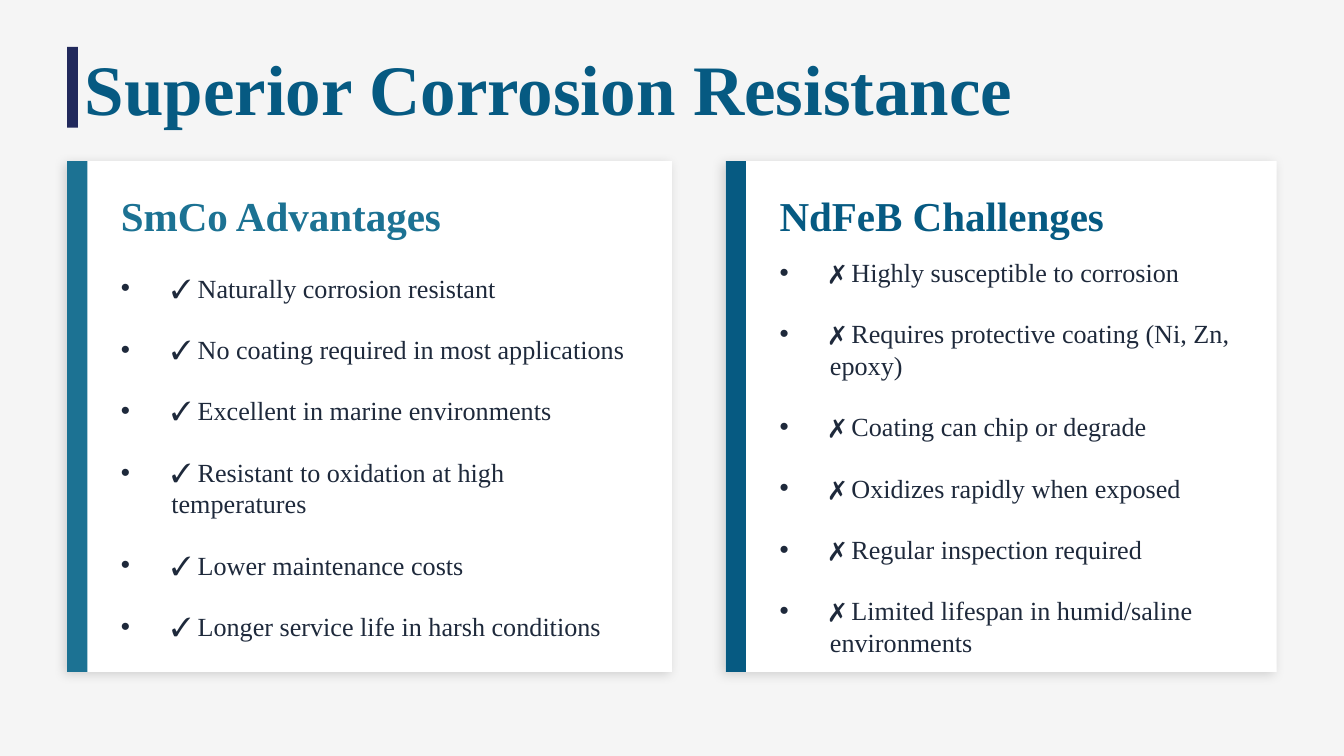
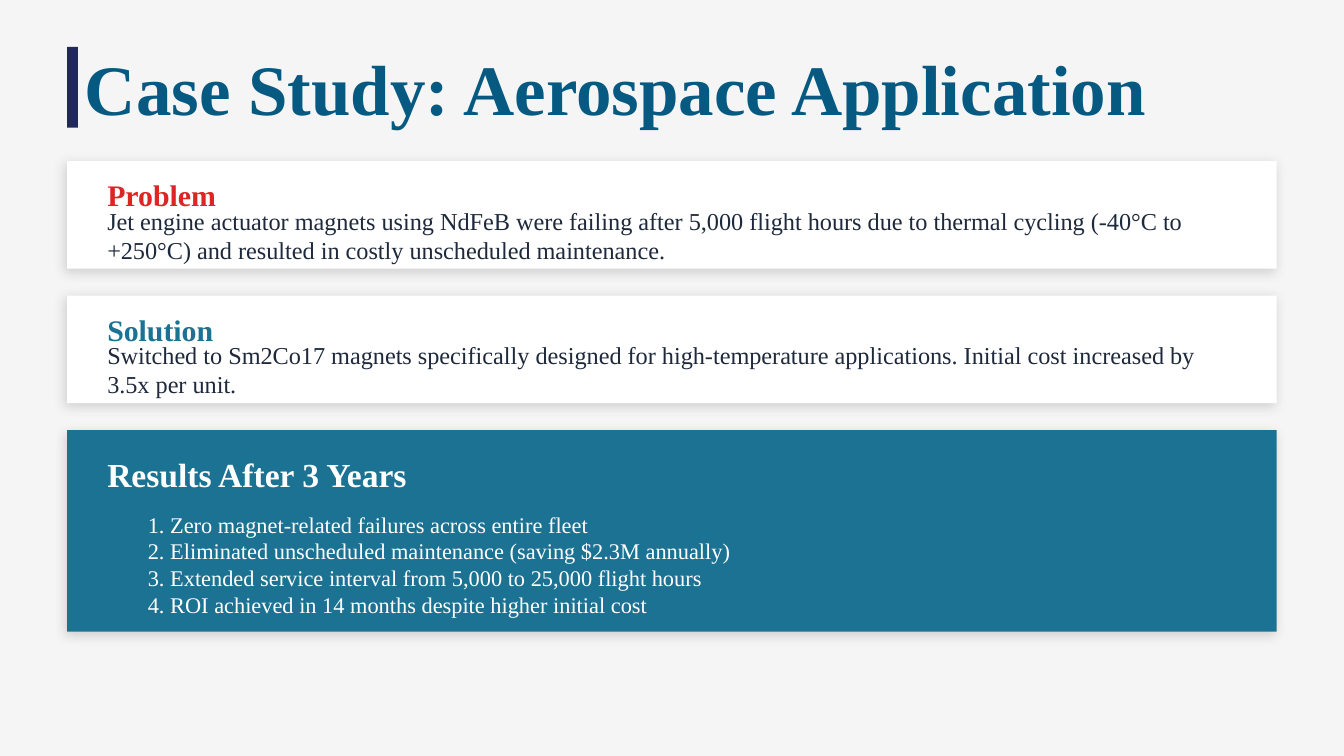
from dataclasses import dataclass
from typing import NamedTuple

from lxml.etree import SubElement
from pptx import Presentation
from pptx.dml.color import RGBColor
from pptx.enum.shapes import MSO_SHAPE
from pptx.enum.text import MSO_ANCHOR, MSO_AUTO_SIZE, PP_ALIGN
from pptx.oxml.ns import qn
from pptx.util import Pt


class Box(NamedTuple):
    left: float
    top: float
    width: float
    height: float

    def inner(self, left, top, width, height):
        return Box(self.left + left, self.top + top, width, height)


@dataclass(frozen=True)
class Theme:
    font: str = "Times New Roman"
    background: str = "F5F5F5"
    navy: str = "21295C"
    blue: str = "065A82"
    teal: str = "1C7293"
    red: str = "DC2626"
    ink: str = "1E293B"
    white: str = "FFFFFF"
    shadow: str = "000000"
    title_size: float = 38
    column_size: float = 22
    results_size: float = 18
    heading_size: float = 16
    bullet_size: float = 14
    body_size: float = 13
    result_size: float = 12


THEME = Theme()
CONTENT = Box(36, 86.4, 648, 273.6)
COLUMN_GAP = 28.8
LEFT_COLUMN_WIDTH = 324
CARD_GAP = 14.4
STATEMENT_HEIGHT = 57.6
RESULTS_HEIGHT = 108
BULLET_INDENT = 27
BULLET_GAP = 16.1

ADVANTAGES = [
    "✓ Naturally corrosion resistant",
    "✓ No coating required in most applications",
    "✓ Excellent in marine environments",
    "✓ Resistant to oxidation at high temperatures",
    "✓ Lower maintenance costs",
    "✓ Longer service life in harsh conditions",
]
CHALLENGES = [
    "✗ Highly susceptible to corrosion",
    "✗ Requires protective coating (Ni, Zn, epoxy)",
    "✗ Coating can chip or degrade",
    "✗ Oxidizes rapidly when exposed",
    "✗ Regular inspection required",
    "✗ Limited lifespan in humid/saline environments",
]
STATEMENTS = [
    ("Problem", THEME.red,
     "Jet engine actuator magnets using NdFeB were failing after 5,000 flight hours due to "
     "thermal cycling (-40°C to +250°C) and resulted in costly unscheduled maintenance."),
    ("Solution", THEME.teal,
     "Switched to Sm2Co17 magnets specifically designed for high-temperature applications. "
     "Initial cost increased by 3.5x per unit."),
]
RESULTS = [
    "1. Zero magnet-related failures across entire fleet",
    "2. Eliminated unscheduled maintenance (saving $2.3M annually)",
    "3. Extended service interval from 5,000 to 25,000 flight hours",
    "4. ROI achieved in 14 months despite higher initial cost",
]


def apply_format(target, values):
    for name, value in values.items():
        setattr(target, name, value)


def place(shape, box):
    apply_format(shape, {name: Pt(value) for name, value in box._asdict().items()})


def set_bullet(paragraph, indent):
    properties = paragraph._p.get_or_add_pPr()
    properties.set("marL", str(Pt(indent)))
    properties.set("indent", str(-Pt(indent)))
    if indent:
        SubElement(properties, qn("a:buChar"), char="•")
    else:
        SubElement(properties, qn("a:buNone"))


def write_text(shape, box, lines, size, color, bold=False, indent=0, gap=0, insets=None):
    place(shape, box)
    frame = shape.text_frame
    apply_format(frame, {
        "word_wrap": True,
        "auto_size": MSO_AUTO_SIZE.NONE,
        "vertical_anchor": MSO_ANCHOR.MIDDLE,
        **(insets or {}),
    })
    for index, line in enumerate(lines):
        paragraph = frame.add_paragraph() if index else frame.paragraphs[0]
        apply_format(paragraph, {
            "alignment": PP_ALIGN.LEFT,
            "space_before": Pt(gap if index else 0),
            "space_after": Pt(0),
        })
        set_bullet(paragraph, indent)
        run = paragraph.add_run()
        run.text = line
        apply_format(run.font, {"name": THEME.font, "size": Pt(size), "bold": bold})
        run.font.color.rgb = RGBColor.from_string(color)


def add_text(slide, box, lines, size, color, **options):
    shape = slide.shapes.add_textbox(*map(Pt, box))
    write_text(shape, box, lines, size, color, **options)


def fill_placeholder(slide, index, box, lines, size, color, **options):
    shape = slide.placeholders[index]
    shape.element.getparent().append(shape.element)
    write_text(shape, box, lines, size, color, **options)


def add_panel(slide, box, color):
    shape = slide.shapes.add_shape(MSO_SHAPE.RECTANGLE, *map(Pt, box))
    shape.shadow.inherit = False
    shape.fill.solid()
    shape.fill.fore_color.rgb = RGBColor.from_string(color)
    shape.line.fill.background()
    return shape


def add_card(slide, box, color):
    shape = add_panel(slide, box, color)
    effects = shape.element.spPr.find(qn("a:effectLst"))
    shadow = SubElement(effects, qn("a:outerShdw"), blurRad=str(Pt(6)), dist=str(Pt(2)),
                        dir=str(135 * 60000), algn="bl", rotWithShape="0")
    shade = SubElement(shadow, qn("a:srgbClr"), val=THEME.shadow)
    SubElement(shade, qn("a:alpha"), val="15000")


def add_title(slide, text):
    box = Box(CONTENT.left, 28.8, CONTENT.width, 36)
    insets = {f"margin_{side}": Pt(0) for side in ("top", "right", "bottom")}
    insets["margin_left"] = Pt(THEME.title_size / 4)
    fill_placeholder(slide, 0, box, [text], THEME.title_size, THEME.blue,
                     bold=True, insets=insets)
    add_panel(slide, box.inner(0, -3.6, 5.76, 43.2), THEME.navy)


def add_comparison_column(slide, box, first_index, heading, items, color):
    add_card(slide, box, THEME.white)
    add_panel(slide, box._replace(width=10.8), color)
    text_width = box.width - 36
    fill_placeholder(slide, first_index, box.inner(21.6, 14.4, text_width, 28.8),
                     [heading], THEME.column_size, color, bold=True)
    fill_placeholder(slide, first_index + 1, box.inner(21.6, 57.6, text_width, 201.6),
                     items, THEME.bullet_size, THEME.ink,
                     indent=BULLET_INDENT, gap=BULLET_GAP)


def add_statement_card(slide, box, heading, color, text):
    add_card(slide, box, THEME.white)
    add_text(slide, box.inner(14.4, 7.2, 108, 21.6), [heading],
             THEME.heading_size, color, bold=True)
    add_text(slide, box.inner(14.4, 28.8, box.width - 28.8, 21.6), [text],
             THEME.body_size, THEME.ink)


def add_results_card(slide, box, heading, items):
    add_card(slide, box, THEME.teal)
    add_text(slide, box.inner(14.4, 10.8, box.width - 28.8, 25.2), [heading],
             THEME.results_size, THEME.white, bold=True)
    fill_placeholder(slide, 1, box.inner(36, 43.2, box.width - 72, 57.6), items,
                     THEME.result_size, THEME.white)


def add_comparison_slide(presentation):
    slide = presentation.slides.add_slide(presentation.slide_layouts.get_by_name("Comparison"))
    add_title(slide, "Superior Corrosion Resistance")
    left = CONTENT._replace(width=LEFT_COLUMN_WIDTH)
    offset = LEFT_COLUMN_WIDTH + COLUMN_GAP
    right = CONTENT.inner(offset, 0, CONTENT.width - offset, CONTENT.height)
    add_comparison_column(slide, left, 1, "SmCo Advantages", ADVANTAGES, THEME.teal)
    add_comparison_column(slide, right, 3, "NdFeB Challenges", CHALLENGES, THEME.blue)


def add_case_study_slide(presentation):
    layout = presentation.slide_layouts.get_by_name("Title and Content")
    slide = presentation.slides.add_slide(layout)
    add_title(slide, "Case Study: Aerospace Application")
    pitch = STATEMENT_HEIGHT + CARD_GAP
    for row, statement in enumerate(STATEMENTS):
        box = CONTENT.inner(0, row * pitch, CONTENT.width, STATEMENT_HEIGHT)
        add_statement_card(slide, box, *statement)
    box = CONTENT.inner(0, len(STATEMENTS) * pitch, CONTENT.width, RESULTS_HEIGHT)
    add_results_card(slide, box, "Results After 3 Years", RESULTS)


def main():
    presentation = Presentation()
    apply_format(presentation, {"slide_width": Pt(720), "slide_height": Pt(405)})
    background = presentation.slide_master.background.fill
    background.solid()
    background.fore_color.rgb = RGBColor.from_string(THEME.background)
    add_comparison_slide(presentation)
    add_case_study_slide(presentation)
    presentation.save("out.pptx")


if __name__ == "__main__":
    main()
